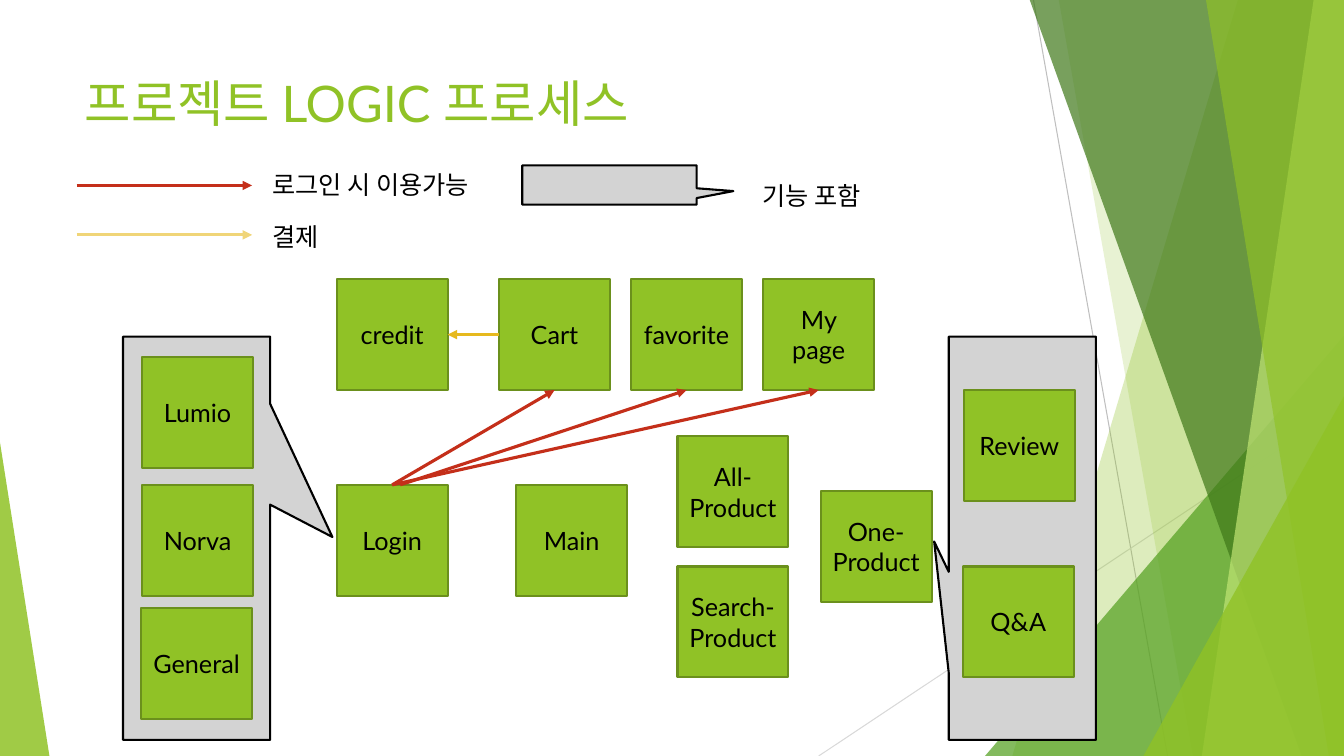
from pptx import Presentation
from pptx.dml.color import RGBColor
from pptx.enum import shapes, text
from pptx.oxml import ns, xmlchemy
from pptx.util import Inches, Pt
from lxml import etree

GREEN = RGBColor(0x90, 0xC2, 0x26)
DARK_GREEN = RGBColor(0x3F, 0x78, 0x19)
MID_GREEN = RGBColor(0x54, 0xA0, 0x21)
PALE_GREEN = RGBColor(0xC0, 0xE4, 0x74)
EDGE_GREEN = RGBColor(0x6B, 0x90, 0x1C)
BLACK = RGBColor(0, 0, 0)
GREY = RGBColor(0xD3, 0xD3, 0xD3)
RED = RGBColor(0xC4, 0x2F, 0x1A)
GOLD = RGBColor(0xE6, 0xB9, 0x1E)
PALE_GOLD = RGBColor(0xF0, 0xD5, 0x78)
RULE_DARK = RGBColor(0xBF, 0xBF, 0xBF)
RULE_LIGHT = RGBColor(0xD9, 0xD9, 0xD9)

WIDTH, HEIGHT, TOP = 13.33, 7.5, -0.01
FONT = "Lato"
BOX = 1.1
TITLE = "프로젝트 LOGIC 프로세스"

RULES = [((10.25, 0), (11.58, HEIGHT), RULE_DARK),
         ((WIDTH, 4.03), (8.12, HEIGHT), RULE_LIGHT)]
BANDS = [("band", 12.28, 10.04, GREEN, 30),
         ("band", 10.5, 11.83, GREEN, 20),
         ("triangle", (9.77, 3.33, 3.56, 4.17), 1, MID_GREEN, 72),
         ("band", 10.21, 12.91, DARK_GREEN, 70),
         ("band", 13.03, 11.92, PALE_GREEN, 70),
         ("band", 11.96, 13.18, GREEN, 65),
         ("triangle", (11.34, 3.93, 1.99, 3.57), 1, GREEN, 80),
         ("triangle", (0, 4.39, 0.49, 3.11), 0, GREEN, 85)]
CALLOUTS = [((9.41, 3.34, 1.46, 4), (-0.599, 0.008)),
            ((1.22, 3.34, 1.46, 4), (0.923, -0.003)),
            ((5.18, 1.64, 1.73, 0.39), (0.711, 0.155))]
STEPS = {"Main": (5.12, 4.81), "All-Product": (6.72, 4.33),
         "Search-Product": (6.72, 5.62), "Cart": (4.95, 2.77),
         "favorite": (6.26, 2.77), "credit": (3.34, 2.77),
         "My page": (7.57, 2.77), "One-\nProduct": (8.14, 4.87),
         "Login": (3.34, 4.81), "Lumio": (1.41, 3.54),
         "Norva": (1.41, 4.81), "General": (1.4, 6.03),
         "Review": (9.56, 3.87), "Q&A": (9.55, 5.62)}
LOGIN_LINKS = [("Cart", True), ("favorite", False), ("My page", True)]
LEGEND_ARROWS = [(1.84, RED), (2.33, PALE_GOLD)]
LABELS = [("로그인 시 이용가능", 2.6, 1.63), ("결제", 2.6, 2.15),
          ("기능 포함", 7.46, 1.74)]

deck = Presentation()
deck.slide_width, deck.slide_height = Inches(WIDTH), Inches(HEIGHT)
page = deck.slides.add_slide(deck.slide_layouts[5])


def write(frame, words, size=18, color=BLACK, align=text.PP_ALIGN.LEFT,
          anchor=text.MSO_ANCHOR.TOP):
    frame.text = words
    frame.word_wrap = True
    frame.auto_size = text.MSO_AUTO_SIZE.NONE
    frame.vertical_anchor = anchor
    for para in frame.paragraphs:
        para.alignment = align
        for span in para.runs:
            span.font.name, span.font.size = FONT, Pt(size)
            span.font.color.rgb = color


def paint(shape, fill, line=None, opacity=100):
    shape.shadow.inherit = False
    shape.fill.solid()
    shape.fill.fore_color.rgb = fill
    if opacity < 100:
        tint = shape.element.spPr.find(".//" + ns.qn("a:srgbClr"))
        etree.SubElement(tint, ns.qn("a:alpha")).set("val", str(opacity * 1000))
    if line is None:
        shape.line.fill.background()
    else:
        shape.line.color.rgb = line
        shape.line.width = Pt(1.5)


def add_preset(kind, place, adjust=()):
    shape = page.shapes.add_shape(kind, *map(Inches, place))
    for index, value in enumerate(adjust):
        shape.adjustments[index] = value
    return shape


def add_line(start, end, color, width=2.25, arrow=True):
    line = page.shapes.add_connector(
        shapes.MSO_CONNECTOR.STRAIGHT, *map(Inches, (*start, *end)))
    line.line.color.rgb = color
    line.line.width = Pt(width)
    if arrow:
        outline = line.element.spPr.find(ns.qn("a:ln"))
        etree.SubElement(outline, ns.qn("a:tailEnd")).set("type", "triangle")
    etree.SubElement(line.element.spPr, ns.qn("a:effectLst"))
    return line


for start, end, color in RULES:
    add_line(start, end, color, width=0.75, arrow=False)

for kind, place, edge, color, opacity in BANDS:
    if kind == "band":
        outline = page.shapes.build_freeform(Inches(place), Inches(TOP))
        corners = [(WIDTH, TOP), (WIDTH, HEIGHT), (edge, HEIGHT)]
        outline.add_line_segments([(Inches(x), Inches(y)) for x, y in corners])
        shape = outline.convert_to_shape()
    else:
        shape = add_preset(shapes.MSO_SHAPE.ISOSCELES_TRIANGLE, place, [edge])
    paint(shape, color, opacity=opacity)

for place, tip in CALLOUTS:
    callout = add_preset(shapes.MSO_SHAPE.RECTANGULAR_CALLOUT, place, tip)
    paint(callout, GREY, BLACK)

title = page.shapes.title
title.left, title.top = Inches(0.74), Inches(0.67)
title.width, title.height = Inches(9.4), Inches(1.44)
write(title.text_frame, TITLE, size=36, color=GREEN)

boxes = {}
for name, (left, top) in STEPS.items():
    box = add_preset(shapes.MSO_SHAPE.RECTANGLE, (left, top, BOX, BOX))
    paint(box, GREEN, EDGE_GREEN)
    write(box.text_frame, name, align=text.PP_ALIGN.CENTER,
          anchor=text.MSO_ANCHOR.MIDDLE)
    boxes[name] = box

for target, from_middle in LOGIN_LINKS:
    left, top = STEPS[target]
    link = add_line((3.97, 4.81), (left + BOX / 2, top + BOX), RED)
    if from_middle:
        link.begin_connect(boxes["Login"], 0)
    link.end_connect(boxes[target], 2)

payment = add_line((4.95, 3.32), (4.44, 3.32), GOLD)
payment.begin_connect(boxes["Cart"], 1)
payment.end_connect(boxes["credit"], 3)

for y, color in LEGEND_ARROWS:
    add_line((0.76, y), (2.5, y), color)

for words, left, top in LABELS:
    label = page.shapes.add_textbox(*map(Inches, (left, top, 2.45, 0.4)))
    write(label.text_frame, words)

deck.save("out.pptx")
